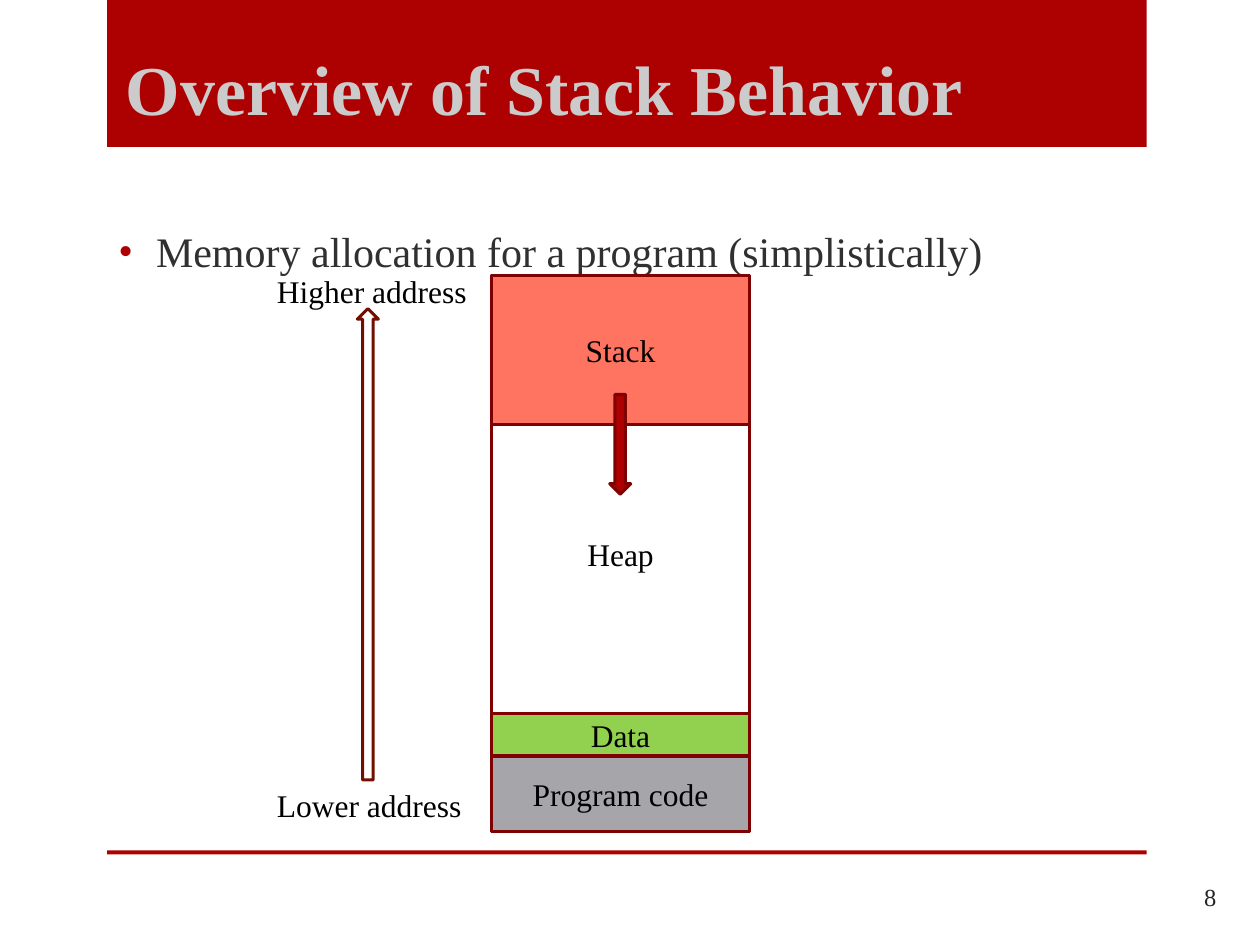
from dataclasses import dataclass

from lxml import etree
from pptx import Presentation
from pptx import util as u
from pptx.dml import color
from pptx.enum import shapes, text
from pptx.oxml import ns

Pt = u.Pt


@dataclass(frozen=True)
class Theme:
    """Colours, font and type sizes of the slide."""
    font: str = "Times New Roman"
    red: str = "AD0101"
    outline: str = "800101"
    address_outline: str = "730E00"
    title: str = "CBCBCB"
    body: str = "303030"
    number: str = "262626"
    black: str = "000000"
    white: str = "FFFFFF"
    stack: str = "FF7461"
    data: str = "92D050"
    code: str = "A5A5AA"
    title_size: float = 40
    body_size: float = 24
    label_size: float = 18
    number_size: float = 14
    line_width: float = 1.75


THEME = Theme()


def rgb(value):
    """Return a colour from its hexadecimal form."""
    return color.RGBColor.from_string(value)


def add_run(paragraph, words, size, ink, bold=False):
    """Append one styled run to a paragraph."""
    run = paragraph.add_run()
    run.text = words
    run.font.name = THEME.font
    run.font.size = Pt(size)
    run.font.bold = bold
    run.font.color.rgb = rgb(ink)


def add_shape(slide, kind, left, top, width, height, fill=None, outline=None):
    """Add a preset shape with optional fill and outline."""
    shape = slide.shapes.add_shape(kind, Pt(left), Pt(top), Pt(width), Pt(height))
    shape.shadow.inherit = False
    if fill:
        shape.fill.solid()
        shape.fill.fore_color.rgb = rgb(fill)
    else:
        shape.fill.background()
    if outline:
        shape.line.color.rgb = rgb(outline)
        shape.line.width = Pt(THEME.line_width)
    else:
        shape.line.fill.background()
    return shape


def add_text(slide, words, left, top, width, height, size, ink, bold=False,
             anchor=text.MSO_ANCHOR.TOP, align=text.PP_ALIGN.LEFT, wrap=True):
    """Add a text box with one run and return its paragraph."""
    box = slide.shapes.add_textbox(Pt(left), Pt(top), Pt(width), Pt(height))
    frame = box.text_frame
    frame.word_wrap = wrap
    frame.vertical_anchor = anchor
    paragraph = frame.paragraphs[0]
    paragraph.alignment = align
    add_run(paragraph, words, size, ink, bold)
    return paragraph


def add_bullet(paragraph, indent):
    """Give a paragraph a red bullet and a hanging indent."""
    properties = paragraph._p.get_or_add_pPr()
    properties.set("marL", str(Pt(indent)))
    properties.set("indent", str(-Pt(indent)))
    bullet_color = etree.SubElement(properties, ns.qn("a:buClr"))
    etree.SubElement(bullet_color, ns.qn("a:srgbClr"), val=THEME.red)
    etree.SubElement(properties, ns.qn("a:buFont"), typeface=THEME.font)
    etree.SubElement(properties, ns.qn("a:buChar"), char="•")


def add_segment(slide, name, top, bottom, fill=None):
    """Add one labelled block of the memory column."""
    shape = add_shape(slide, shapes.MSO_SHAPE.RECTANGLE, 280.8, top, 147.6,
                      bottom - top, fill, THEME.outline)
    shape.text_frame.vertical_anchor = text.MSO_ANCHOR.MIDDLE
    paragraph = shape.text_frame.paragraphs[0]
    paragraph.alignment = text.PP_ALIGN.CENTER
    add_run(paragraph, name, THEME.label_size, THEME.black)


def add_frame(slide):
    """Add the title band, the footer rule and the slide number."""
    for top, height in ((0, 84), (486, 2.2)):
        add_shape(slide, shapes.MSO_SHAPE.RECTANGLE, 61.2, top, 594, height, THEME.red)
    add_text(slide, "Overview of Stack Behavior", 64.8, 0, 534, 77.8,
             THEME.title_size, THEME.title, True, text.MSO_ANCHOR.BOTTOM)
    add_text(slide, "8", 642.2, 498.2, 60, 28.8, THEME.number_size, THEME.number,
             anchor=text.MSO_ANCHOR.MIDDLE, align=text.PP_ALIGN.RIGHT)


def add_memory(slide):
    """Add the memory column with its growth and address arrows."""
    top, stack_end, data_start, code_start, bottom = 157.7, 242.4, 407.5, 432, 475
    add_segment(slide, "Heap", top, bottom)
    add_segment(slide, "Program code", code_start, bottom, THEME.code)
    add_segment(slide, "Stack", top, stack_end, THEME.stack)
    add_segment(slide, "Data", data_start, code_start, THEME.data)
    add_shape(slide, shapes.MSO_SHAPE.DOWN_ARROW, 348.4, 225.4, 12, 57,
              THEME.red, THEME.outline)
    add_shape(slide, shapes.MSO_SHAPE.UP_ARROW, 204.2, 176.4, 12, 269.3,
              THEME.white, THEME.address_outline)
    for words, label_top in (("Higher address", 152), ("Lower address", 445.7)):
        add_text(slide, words, 151.2, label_top, 125, 29,
                 THEME.label_size, THEME.black, wrap=False)


def main():
    """Build and save the slide."""
    presentation = Presentation()
    presentation.slide_width, presentation.slide_height = Pt(720), Pt(540)
    slide = presentation.slides.add_slide(presentation.slide_layouts[6])
    add_frame(slide)
    paragraph = add_text(slide, "Memory allocation for a program (simplistically)",
                         60.5, 125.5, 594, 36, THEME.body_size, THEME.body)
    add_bullet(paragraph, 21.6)
    add_memory(slide)
    presentation.save("out.pptx")


if __name__ == "__main__":
    main()
